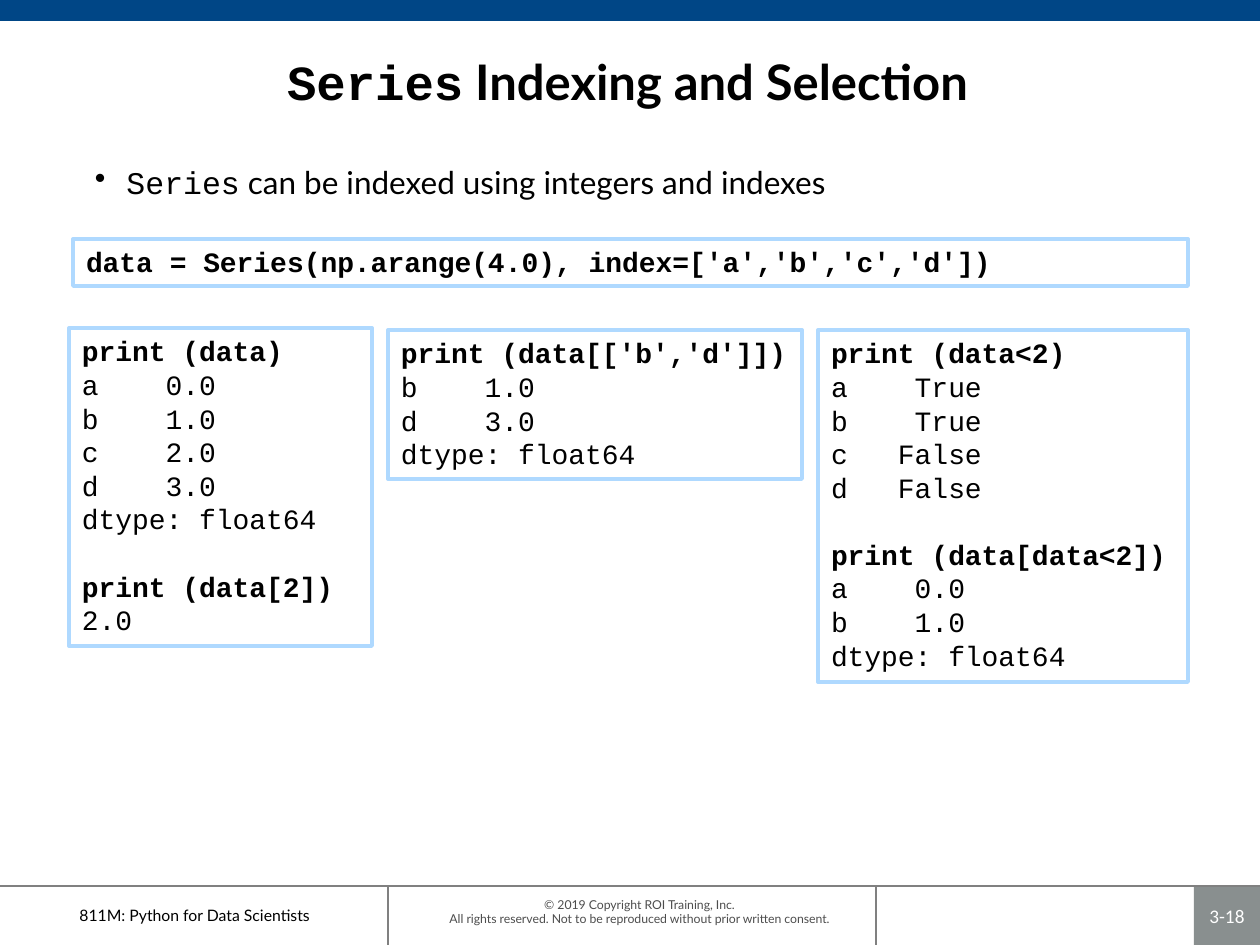
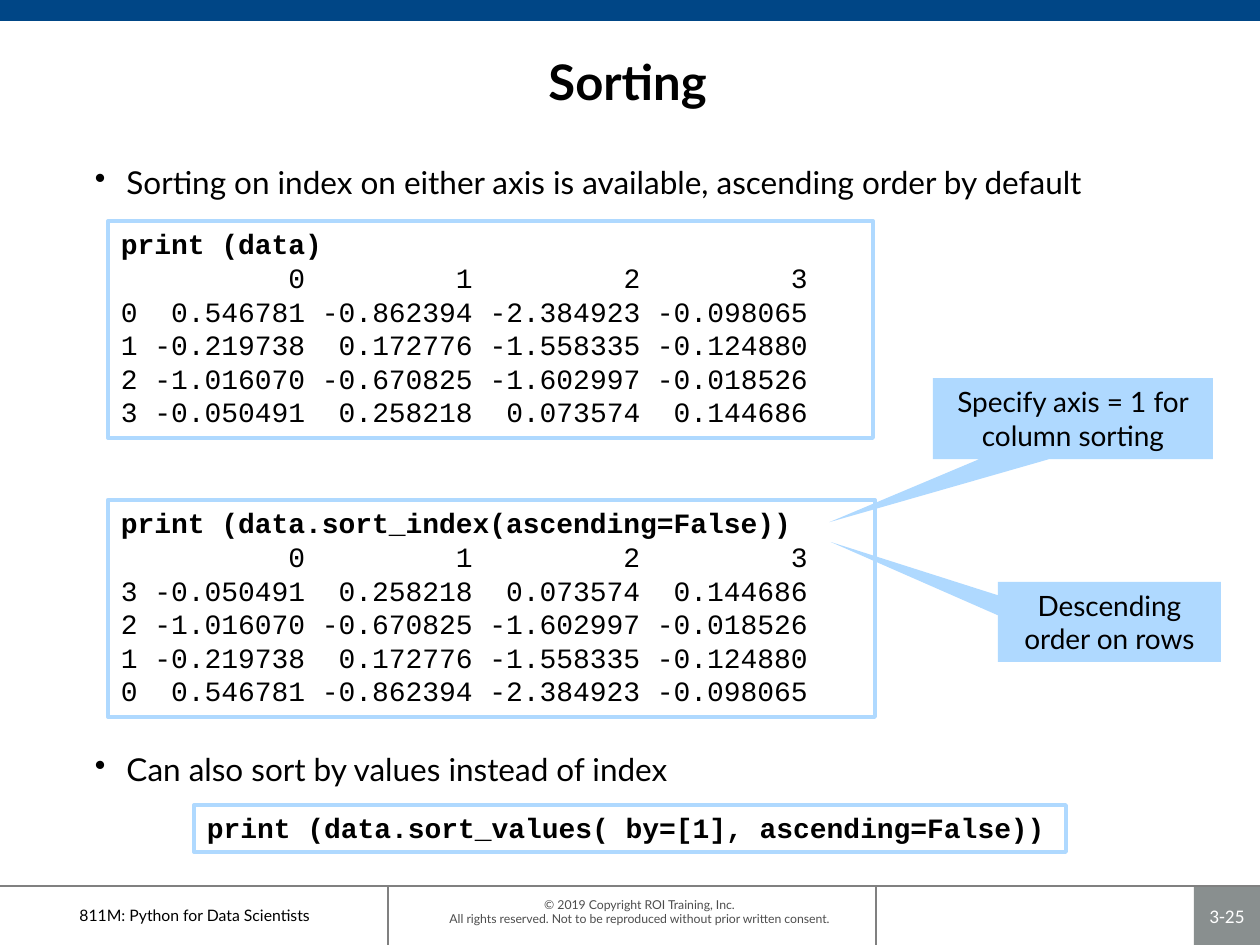
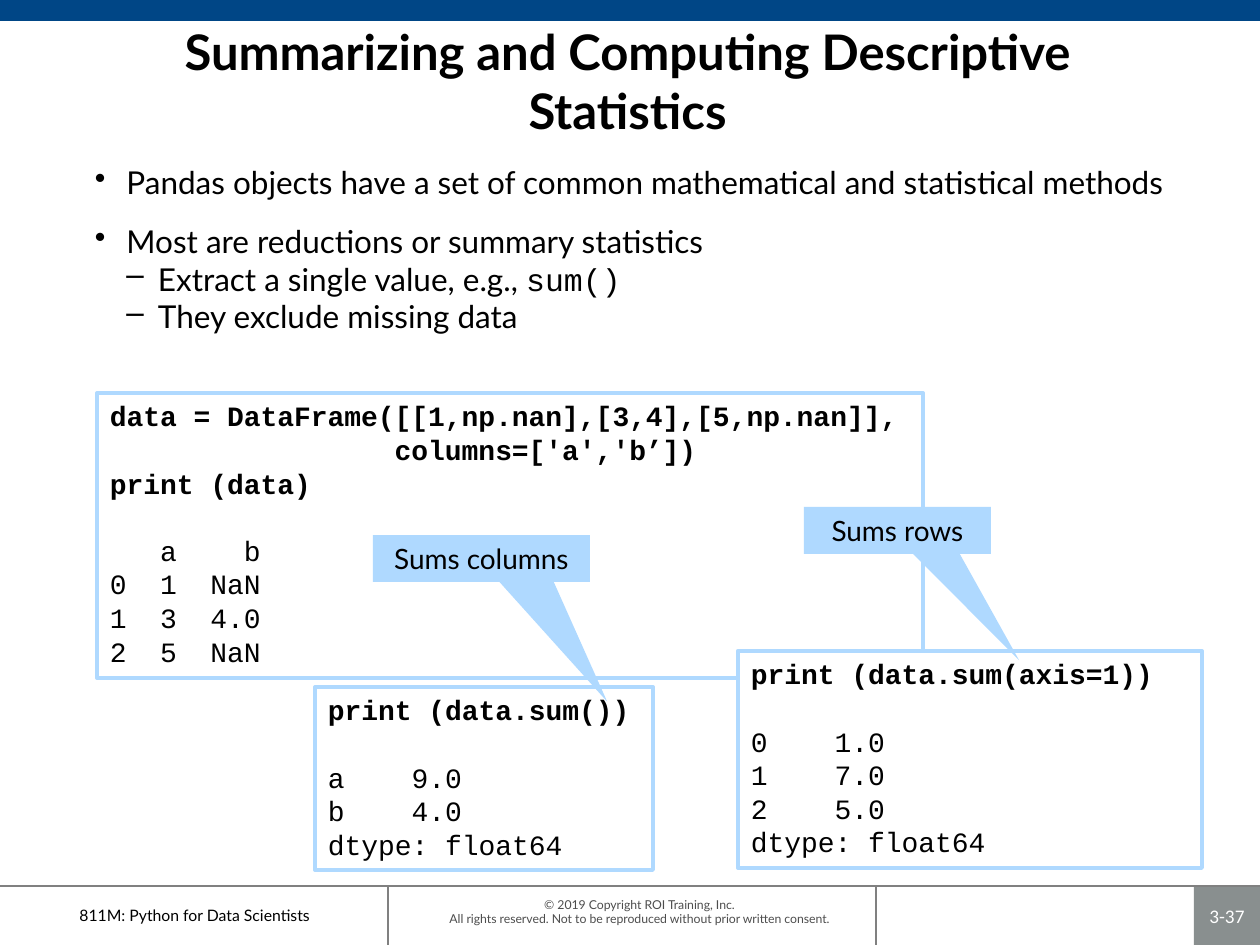
from lxml.etree import SubElement
from pptx import Presentation
from pptx.dml.color import RGBColor
from pptx.enum.shapes import MSO_CONNECTOR, MSO_SHAPE
from pptx.enum.text import MSO_ANCHOR, PP_ALIGN
from pptx.oxml.ns import qn
from pptx.util import Emu, Pt

EMU_PER_PX = 914400 / 126
COLORS = {
    "band": "004686",
    "accent": "AFD9FF",
    "rule": "808080",
    "page": "898F8F",
    "legal": "4D4D4D",
    "text": "000000",
    "white": "FFFFFF",
}
SANS, MONO, NUMBER = "Lato", "Courier New", "Calibri"
CODE_LEADING = 19.2
COURSE = "811M: Python for Data Scientists"
LEGAL = ("© 2019 Copyright ROI Training, Inc.",
         "All rights reserved. Not to be reproduced without prior written consent.")

# Slide 2 table rows, in index order
COLUMNS = "          0         1         2         3"
ROWS = [
    "0  0.546781 -0.862394 -2.384923 -0.098065",
    "1 -0.219738  0.172776 -1.558335 -0.124880",
    "2 -1.016070 -0.670825 -1.602997 -0.018526",
    "3 -0.050491  0.258218  0.073574  0.144686",
]


# Basic helpers
def px(n):
    return Emu(round(n * EMU_PER_PX))


def rgb(name):
    return RGBColor.from_string(COLORS[name])


def add_run(p, text, size, font=SANS, color="text", bold=False):
    r = p.add_run()
    r.text = text
    r.font.size = Pt(size)
    r.font.name = font
    r.font.bold = bold
    r.font.color.rgb = rgb(color)


def add_mixed(p, text, size, bold=False):
    """Add runs; parts between backticks are set in the code font."""
    for i, part in enumerate(text.split("`")):
        if part:
            add_run(p, part, size, MONO if i % 2 else SANS, bold=bold)


def set_frame(sp, anchor=MSO_ANCHOR.TOP, side=13, edge=6):
    tf = sp.text_frame
    tf.word_wrap = True
    tf.vertical_anchor = anchor
    tf.margin_left = tf.margin_right = px(side)
    tf.margin_top = tf.margin_bottom = px(edge)
    return tf


def add_text(s, box, **frame):
    return set_frame(s.shapes.add_textbox(*map(px, box)), **frame)


def add_box(s, box, fill=None, line=None, kind=MSO_SHAPE.RECTANGLE):
    sp = s.shapes.add_shape(kind, *map(px, box))
    sp.shadow.inherit = False
    if fill:
        sp.fill.solid()
        sp.fill.fore_color.rgb = rgb(fill)
    else:
        sp.fill.background()
    if line:
        sp.line.color.rgb = rgb(line)
        sp.line.width = Pt(2.25)
    else:
        sp.line.fill.background()
    return sp


def add_rule(s, x1, y1, x2, y2):
    c = s.shapes.add_connector(MSO_CONNECTOR.STRAIGHT, *map(px, (x1, y1, x2, y2)))
    c.line.color.rgb = rgb("rule")
    c.line.width = Pt(1.5)
    SubElement(c._element.spPr, qn("a:effectLst"))


# Slide elements
def add_footer(s, page):
    tf = set_frame(add_box(s, (1194, 886, 66, 59), "page"), MSO_ANCHOR.MIDDLE, 5, 5)
    tf.paragraphs[0].alignment = PP_ALIGN.CENTER
    add_run(tf.paragraphs[0], page, 11, NUMBER, "white")

    add_rule(s, 0, 886, 1260, 886)
    for x in (388, 876):
        add_rule(s, x, 886, x, 945)

    p = add_text(s, (309, 897, 661, 30), edge=0).paragraphs[0]
    p.alignment = PP_ALIGN.CENTER
    add_run(p, LEGAL[0], 7, color="legal")
    p.add_line_break()
    add_run(p, LEGAL[1], 7, color="legal")

    p = add_text(s, (0, 886, 389, 59), anchor=MSO_ANCHOR.MIDDLE).paragraphs[0]
    p.alignment = PP_ALIGN.CENTER
    add_run(p, COURSE, 9)


def add_slide(prs, title, page):
    s = prs.slides.add_slide(prs.slide_layouts[6])
    add_footer(s, page)
    add_box(s, (0, 0, 1260, 21), "band")
    p = add_text(s, (145, 37, 965, 87), anchor=MSO_ANCHOR.MIDDLE).paragraphs[0]
    p.alignment = PP_ALIGN.CENTER
    add_mixed(p, title, 28, bold=True)
    return s


def add_bullets(s, top, height, items):
    """Add (level, text) items as a bulleted list."""
    tf = add_text(s, (82, top, 1105, height))
    for i, (level, text) in enumerate(items):
        p = tf.add_paragraph() if i else tf.paragraphs[0]
        pPr = p._p.get_or_add_pPr()
        pPr.set("marL", str(228600 * (level + 1)))
        pPr.set("indent", "-228600")
        clr = SubElement(pPr, qn("a:buClr"))
        SubElement(clr, qn("a:srgbClr")).set("val", COLORS["text"])
        SubElement(pPr, qn("a:buChar")).set("char", "•–"[level])
        if i and level == 0:
            p.space_before = Pt(12)
        add_mixed(p, text, 18)


def add_code(s, box, lines, fill=None):
    """Add a code box: '>' marks typed code (bold), '' a gap before the next line."""
    tf = set_frame(add_box(s, box, fill, "accent"))
    p, gap = tf.paragraphs[0], False
    for i, line in enumerate(lines):
        if not line:
            gap = True
            continue
        if i:
            p = tf.add_paragraph()
        p.alignment = PP_ALIGN.LEFT
        p.line_spacing = Pt(CODE_LEADING)
        if gap:
            p.space_before = Pt(CODE_LEADING)
            gap = False
        add_run(p, line.removeprefix(">"), 16, MONO, bold=line.startswith(">"))


def add_callout(s, box, tip, text):
    sp = add_box(s, box, "accent", kind=MSO_SHAPE.RECTANGULAR_CALLOUT)
    sp.adjustments[0], sp.adjustments[1] = tip
    p = set_frame(sp, MSO_ANCHOR.MIDDLE).paragraphs[0]
    p.alignment = PP_ALIGN.CENTER
    add_run(p, text, 16)


# Slides
def add_indexing(prs):
    s = add_slide(prs, "`Series` Indexing and Selection", "3-18")
    add_bullets(s, 157, 60, [(0, "`Series` can be indexed using integers and indexes")])
    add_code(s, (73, 239, 1115, 47),
             [">data = Series(np.arange(4.0), index=['a','b','c','d'])"])
    add_code(s, (69, 328, 303, 318), [
        ">print (data)", "a    0.0", "b    1.0", "c    2.0", "d    3.0",
        "dtype: float64", "", ">print (data[2])", "2.0"])
    add_code(s, (388, 330, 414, 149), [
        ">print (data[['b','d']])", "b    1.0", "d    3.0", "dtype: float64"])
    add_code(s, (818, 330, 370, 352), [
        ">print (data<2)", "a    True", "b    True", "c   False", "d   False", "",
        ">print (data[data<2])", "a    0.0", "b    1.0", "dtype: float64"])


def add_sorting(prs):
    s = add_slide(prs, "Sorting", "3-25")
    add_bullets(s, 157, 60, [
        (0, "Sorting on index on either axis is available, ascending order by default")])
    add_bullets(s, 744, 60, [(0, "Can also sort by values instead of index")])
    add_code(s, (108, 221, 765, 217), [">print (data)", COLUMNS, *ROWS])
    add_code(s, (108, 500, 767, 217),
             [">print (data.sort_index(ascending=False))", COLUMNS, *reversed(ROWS)])
    add_callout(s, (998, 582, 223, 80), (-1.25, -1), "Descending order on rows")
    add_callout(s, (933, 378, 280, 81), (-0.87, 1.28),
                "Specify axis = 1 for column sorting")
    add_code(s, (194, 805, 872, 47),
             [">print (data.sort_values( by=[1], ascending=False))"])


def add_statistics(prs):
    s = add_slide(prs, "Summarizing and Computing Descriptive Statistics", "3-37")
    add_bullets(s, 157, 200, [
        (0, "Pandas objects have a set of common mathematical and statistical methods"),
        (0, "Most are reductions or summary statistics"),
        (1, "Extract a single value, e.g., `sum()`"),
        (1, "They exclude missing data")])
    add_code(s, (97, 393, 826, 285), [
        ">data = DataFrame([[1,np.nan],[3,4],[5,np.nan]],",
        ">                 columns=['a','b’])",
        ">print (data)", "", "   a    b", "0  1  NaN", "1  3  4.0", "2  5  NaN"])
    add_code(s, (315, 687, 338, 183), [
        ">print (data.sum())", "", "a    9.0", "b    4.0", "dtype: float64"], "white")
    add_code(s, (738, 651, 464, 217), [
        ">print (data.sum(axis=1))", "", "0    1.0", "1    7.0", "2    5.0",
        "dtype: float64"], "white")
    add_callout(s, (373, 535, 217, 47), (0.58, 3.05), "Sums columns")
    add_callout(s, (804, 507, 187, 47), (0.65, 2.76), "Sums rows")


def main():
    prs = Presentation()
    prs.slide_width, prs.slide_height = px(1260), px(945)
    add_indexing(prs)
    add_sorting(prs)
    add_statistics(prs)
    prs.save("out.pptx")


if __name__ == "__main__":
    main()
